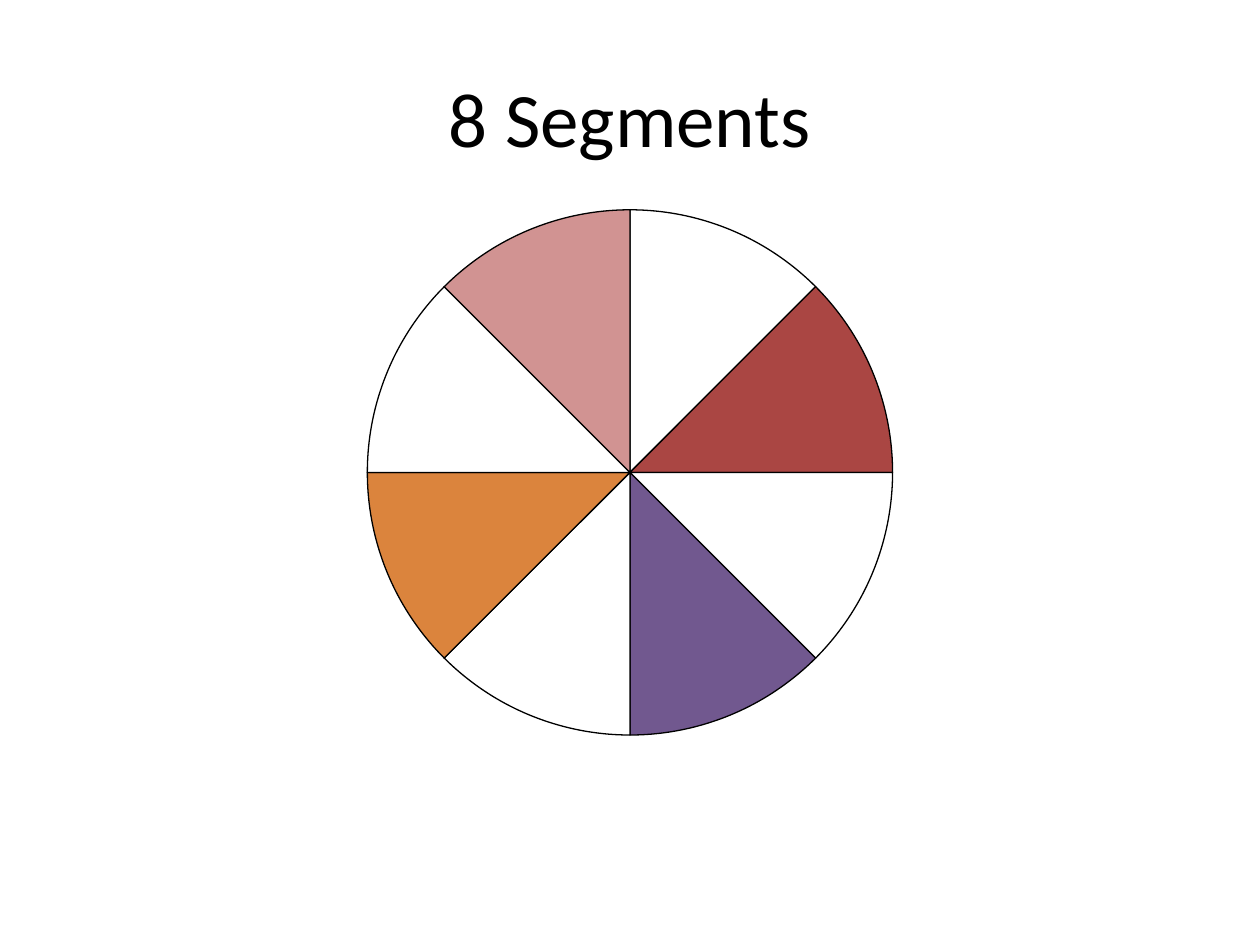
from dataclasses import dataclass

from lxml import etree
from pptx import Presentation
from pptx.chart.data import CategoryChartData
from pptx.dml.color import RGBColor
from pptx.enum.chart import XL_CHART_TYPE
from pptx.enum.text import MSO_ANCHOR, PP_ALIGN
from pptx.oxml.ns import qn
from pptx.util import Cm, Pt


@dataclass(frozen=True)
class Theme:
    """Colours, font and sizes of the slide."""
    font: str = "Calibri"
    ink: str = "000000"
    blank: str = "FFFFFF"
    accents: tuple = ("AA4643", "71588F", "DB843D", "D19392")
    title_size: float = 44
    chart_size: float = 18
    outline: float = 0.75


class SlideBuilder:
    """Adds styled elements to the current slide."""

    def __init__(self, slide, theme):
        """Keep the slide and its theme."""
        self.slide = slide
        self.theme = theme

    def style(self, font, size):
        """Apply the theme font and ink colour."""
        font.name = self.theme.font
        font.size = Pt(size)
        font.color.rgb = RGBColor.from_string(self.theme.ink)

    def title(self, text, left, top, width, height):
        """Add a centred title."""
        frame = self.slide.shapes.add_textbox(
            Cm(left), Cm(top), Cm(width), Cm(height)).text_frame
        frame.word_wrap = True
        frame.vertical_anchor = MSO_ANCHOR.MIDDLE
        paragraph = frame.paragraphs[0]
        paragraph.alignment = PP_ALIGN.CENTER
        run = paragraph.add_run()
        run.text = text
        self.style(run.font, self.theme.title_size)

    def pie(self, values, colours, left, top, width, height, diameter):
        """Add an outlined pie with one colour per segment."""
        data = CategoryChartData()
        data.categories = [str(i + 1) for i in range(len(values))]
        data.add_series("Series 1", values)
        chart = self.slide.shapes.add_chart(
            XL_CHART_TYPE.PIE, Cm(left), Cm(top), Cm(width), Cm(height), data).chart
        chart.has_title = False
        chart.has_legend = False
        self.style(chart.font, self.theme.chart_size)
        plot = chart.plots[0]
        plot.vary_by_categories = True
        for i, colour in enumerate(colours):
            segment = plot.series[0].points[i].format
            segment.fill.solid()
            segment.fill.fore_color.rgb = RGBColor.from_string(colour)
            segment.line.color.rgb = RGBColor.from_string(self.theme.ink)
            segment.line.width = Pt(self.theme.outline)
        self.centre_plot(chart, diameter / width, diameter / height)

    def centre_plot(self, chart, w, h):
        """Centre the plot area, given its size as fractions of the chart."""
        area = chart.element.find(".//" + qn("c:plotArea"))
        layout = area.find(qn("c:layout"))
        if layout is None:
            layout = etree.Element(qn("c:layout"))
            area.insert(0, layout)
        manual = etree.SubElement(layout, qn("c:manualLayout"))
        settings = {"layoutTarget": "inner", "xMode": "edge", "yMode": "edge",
                    "x": (1 - w) / 2, "y": (1 - h) / 2, "w": w, "h": h}
        for tag, value in settings.items():
            etree.SubElement(manual, qn("c:" + tag)).set("val", str(value))


def main():
    """Build and save the slide."""
    deck = Presentation()
    deck.slide_width, deck.slide_height = Cm(25.4), Cm(19.05)
    theme = Theme()
    builder = SlideBuilder(deck.slides.add_slide(deck.slide_layouts[6]), theme)
    colours = [c for accent in theme.accents for c in (theme.blank, accent)]
    builder.pie([12] * len(colours), colours, 4.23, 3.88, 16.94, 11.29, 10.59)
    builder.title("8 Segments", 1.27, 0.76, 22.86, 3.18)
    deck.save("out.pptx")


main()
